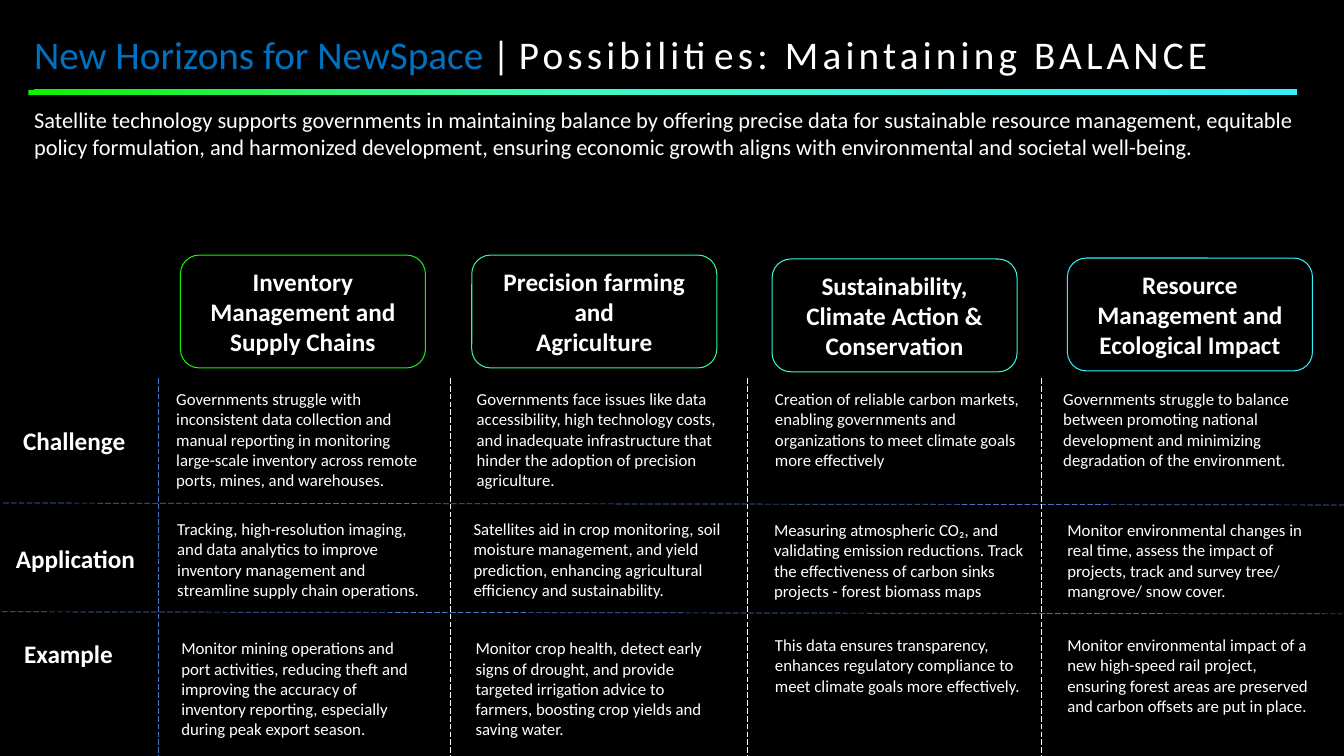
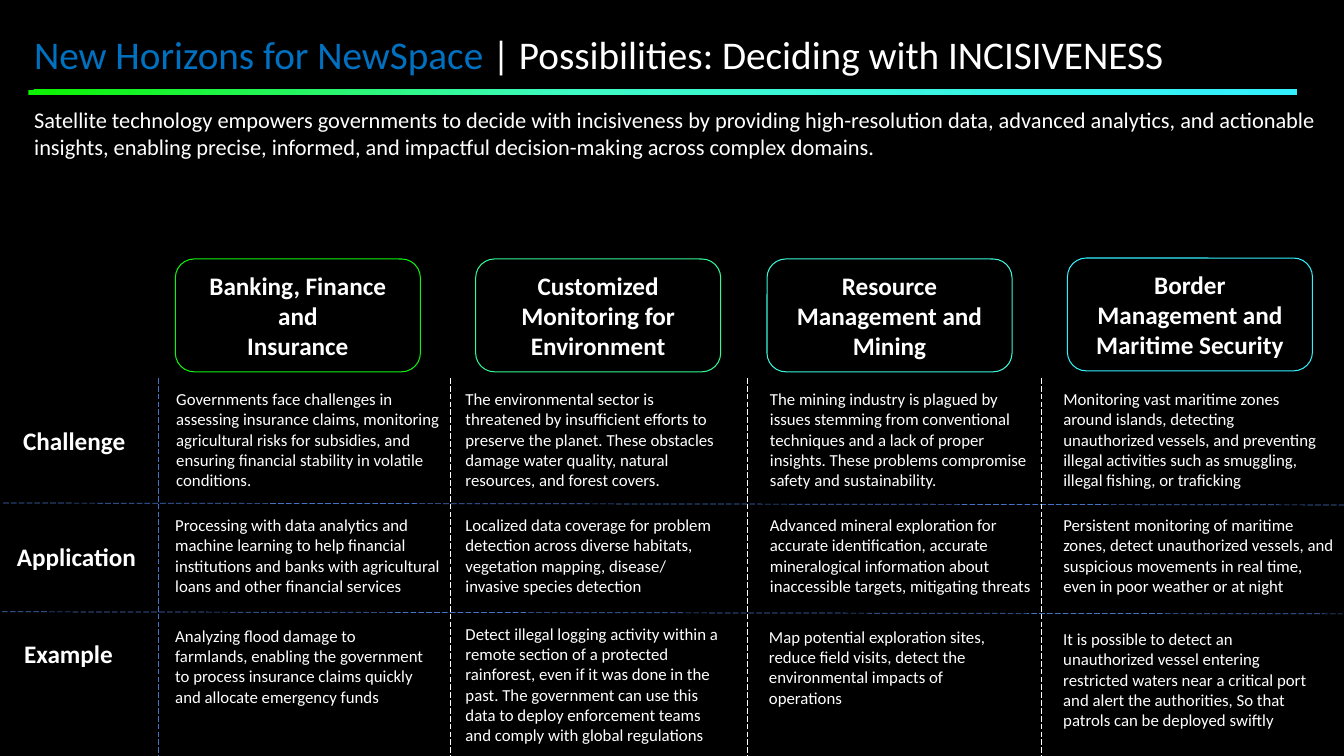
from dataclasses import dataclass

import pptx
import pptx.dml.color
import pptx.enum.dml
import pptx.enum.shapes
import pptx.enum.text
import pptx.oxml
import pptx.oxml.ns
import pptx.util

Pt = pptx.util.Pt

FONT = "Calibri"
BLACK, WHITE, BLUE, RULE_BLUE = "000000", "FFFFFF", "0070C0", "4472C4"
HEADING_COLORS = ["10F30E", "32F895", "3AF7D9", "34F0FC"]
BAR_STOPS = [(0, "33F0FF"), (57, "3EFAC5"), (100, "0DF200")]
TITLE_PREFIX = "New Horizons for NewSpace "
HEADING_WIDTH, HEADING_HEIGHT = 175, 80.6
CHALLENGE_TOP = 274.3


@dataclass
class Heading:
    text: str
    left: float
    top: float


@dataclass
class Block:
    text: str
    left: float
    top: float
    width: float
    lines: int = 4


@dataclass
class Rule:
    start: tuple[float, float]
    end: tuple[float, float]
    color: str


@dataclass
class Page:
    title: str
    title_spacing: float
    summary: str
    application_label: tuple[float, float]
    headings: list[Heading]
    blocks: list[Block]


RULES = [
    Rule((2.2, 359.3), (960, 360.7), RULE_BLUE),
    Rule((1.4, 437), (959, 438.5), RULE_BLUE),
    Rule((113, 270), (113, 540), RULE_BLUE),
] + [Rule((x, 270), (x, 540), WHITE) for x in (321.8, 533.5, 743.8)]

PAGES = [
    Page(
        "Possibilities: Maintaining BALANCE", 3,
        "Satellite technology supports governments in maintaining balance by offering precise data for "
        "sustainable resource management, equitable policy formulation, and harmonized development, "
        "ensuring economic growth aligns with environmental and societal well-being.",
        (4.3, 384.5),
        [
            Heading("Inventory Management and Supply Chains", 128.9, 182.2),
            Heading("Precision farming\nand\nAgriculture", 337, 182.2),
            Heading("Sustainability, Climate Action & Conservation", 551.5, 185),
            Heading("Resource Management and Ecological Impact", 762.5, 184.3),
        ],
        [
            Block("Governments struggle with inconsistent data collection and manual reporting in monitoring "
                  "large-scale inventory across remote ports, mines, and warehouses.",
                  118.8, CHALLENGE_TOP, 191.5, 5),
            Block("Governments face issues like data accessibility, high technology costs, and inadequate "
                  "infrastructure that hinder the adoption of precision agriculture.",
                  333.4, CHALLENGE_TOP, 187.9, 5),
            Block("Creation of reliable carbon markets, enabling governments and organizations to meet "
                  "climate goals more effectively", 546.5, CHALLENGE_TOP, 189.4),
            Block("Governments struggle to balance between promoting national development and minimizing "
                  "degradation of the environment.", 752.4, CHALLENGE_TOP, 189.4),
            Block("Tracking, high-resolution imaging, and data analytics to improve inventory management and "
                  "streamline supply chain operations.", 119.5, 367.2, 192.2),
            Block("Satellites aid in crop monitoring, soil moisture management, and yield prediction, "
                  "enhancing agricultural efficiency and sustainability.", 331.2, 367.2, 192.2),
            Block("Measuring atmospheric CO₂, and validating emission reductions. Track the effectiveness of "
                  "carbon sinks projects - forest biomass maps", 545.8, 367.9, 197.3),
            Block("Monitor environmental changes in real time, assess the impact of projects, track and "
                  "survey tree/ mangrove/ snow cover.", 755.3, 367.9, 186.5),
            Block("Monitor mining operations and port activities, reducing theft and improving the accuracy "
                  "of inventory reporting, especially during peak export season.", 122.4, 452.2, 188.6, 5),
            Block("Monitor crop health, detect early signs of drought, and provide targeted irrigation advice "
                  "to farmers, boosting crop yields and saving water.", 332.6, 452.2, 188.6, 5),
            Block("This data ensures transparency, enhances regulatory compliance to meet climate goals more "
                  "effectively.", 546.5, 450, 189.4),
            Block("Monitor environmental impact of a new high-speed rail project, ensuring forest areas are "
                  "preserved and carbon offsets are put in place.", 755.3, 450, 189.4),
        ],
    ),
    Page(
        "Possibilities: Deciding with INCISIVENESS", 0,
        "Satellite technology empowers governments to decide with incisiveness by providing "
        "high-resolution data, advanced analytics, and actionable insights, enabling precise, informed, "
        "and impactful decision-making across complex domains.",
        (5, 383),
        [
            Heading("Banking, Finance and\nInsurance", 125.3, 185),
            Heading("Customized Monitoring for Environment", 339.8, 185),
            Heading("Resource Management and Mining", 547.9, 185),
            Heading("Border Management and Maritime Security", 762.5, 184.3),
        ],
        [
            Block("Governments face challenges in assessing insurance claims, monitoring agricultural risks "
                  "for subsidies, and ensuring financial stability in volatile conditions.",
                  118.8, CHALLENGE_TOP, 203.8, 5),
            Block("The environmental sector is threatened by insufficient efforts to preserve the planet. "
                  "These obstacles damage water quality, natural resources, and forest covers.",
                  325.4, CHALLENGE_TOP, 205.9, 5),
            Block("The mining industry is plagued by issues stemming from conventional techniques and a lack "
                  "of proper insights. These problems compromise safety and sustainability.",
                  542.9, CHALLENGE_TOP, 200.9, 5),
            Block("Monitoring vast maritime zones around islands, detecting unauthorized vessels, and "
                  "preventing illegal activities such as smuggling, illegal fishing, or traficking",
                  752.4, CHALLENGE_TOP, 200.9, 5),
            Block("Processing with data analytics and machine learning to help financial institutions and "
                  "banks with agricultural loans and other financial services", 118.1, 364.3, 203.8),
            Block("Localized data coverage for problem detection across diverse habitats, vegetation mapping, "
                  "disease/ invasive species detection", 325.4, 364.3, 192.2),
            Block("Advanced mineral exploration for accurate identification, accurate mineralogical "
                  "information about inaccessible targets, mitigating threats", 542.9, 364.3, 206.6),
            Block("Persistent monitoring of maritime zones, detect unauthorized vessels, and suspicious "
                  "movements in real time, even in poor weather or at night", 752.4, 364.3, 208.1),
            Block("Analyzing flood damage to farmlands, enabling the government to process insurance claims "
                  "quickly and allocate emergency funds", 118.1, 443.5, 193),
            Block("Detect illegal logging activity within a remote section of a protected rainforest, even if "
                  "it was done in the past. The government can use this data to deploy enforcement teams and "
                  "comply with global regulations", 325.4, 442.1, 202.3, 6),
            Block("Map potential exploration sites, reduce field visits, detect the environmental impacts of "
                  "operations", 542.2, 444.2, 185),
            Block("It is possible to detect an unauthorized vessel entering restricted waters near a critical "
                  "port and alert the authorities, So that patrols can be deployed swiftly",
                  752.4, 445.7, 189.4, 5),
        ],
    ),
]


def rgb(color: str) -> pptx.dml.color.RGBColor:
    return pptx.dml.color.RGBColor.from_string(color)


def style_font(font, size: float, color: str = WHITE, bold: bool = False) -> None:
    font.name = FONT
    font.size = Pt(size)
    font.bold = bold
    font.color.rgb = rgb(color)


def add_text(slide, text: str, left: float, top: float, width: float, height: float,
             size: float, bold: bool = False) -> None:
    frame = slide.shapes.add_textbox(Pt(left), Pt(top), Pt(width), Pt(height)).text_frame
    frame.word_wrap = True
    frame.text = text
    style_font(frame.paragraphs[0].font, size, bold=bold)


def add_title(slide, page: Page) -> None:
    frame = slide.shapes.add_textbox(Pt(17.3), Pt(-0.7), Pt(924.5), Pt(59.8)).text_frame
    frame.word_wrap = True
    frame.vertical_anchor = pptx.enum.text.MSO_ANCHOR.BOTTOM
    paragraph = frame.paragraphs[0]
    paragraph.line_spacing = 1.2
    paragraph.space_after = Pt(6)
    for text, color, spacing in ((TITLE_PREFIX, BLUE, 0), ("| ", WHITE, 0),
                                 (page.title, WHITE, page.title_spacing)):
        run = paragraph.add_run()
        run.text = text
        style_font(run.font, 28, color)
        if spacing:
            run.font._element.set("spc", str(int(spacing * 100)))


def add_gradient_bar(slide) -> None:
    bar = slide.shapes.add_shape(pptx.enum.shapes.MSO_SHAPE.RECTANGLE,
                                 Pt(20.2), Pt(64.1), Pt(905.8), Pt(3.8))
    bar.shadow.inherit = False
    bar.line.fill.background()
    bar.fill.gradient()
    stops = "".join(f'<a:gs pos="{position * 1000}"><a:srgbClr val="{color}"/></a:gs>'
                    for position, color in BAR_STOPS)
    gradient = pptx.oxml.parse_xml(
        f'<a:gradFill {pptx.oxml.ns.nsdecls("a")} rotWithShape="1"><a:gsLst>{stops}</a:gsLst>'
        '<a:path path="circle"><a:fillToRect l="100000" t="100000"/></a:path></a:gradFill>')
    properties = bar._element.spPr
    properties.replace(properties.find(pptx.oxml.ns.qn("a:gradFill")), gradient)


def add_rule(slide, rule: Rule) -> None:
    connector = slide.shapes.add_connector(pptx.enum.shapes.MSO_CONNECTOR.STRAIGHT,
                                           *map(Pt, rule.start + rule.end))
    connector.line.color.rgb = rgb(rule.color)
    connector.line.width = Pt(0.5)
    connector.line.dash_style = pptx.enum.dml.MSO_LINE.LONG_DASH
    connector._element.spPr.append(
        pptx.oxml.parse_xml(f'<a:effectLst {pptx.oxml.ns.nsdecls("a")}/>'))


def add_heading(slide, heading: Heading, color: str) -> None:
    shape = slide.shapes.add_shape(pptx.enum.shapes.MSO_SHAPE.ROUNDED_RECTANGLE,
                                   Pt(heading.left), Pt(heading.top),
                                   Pt(HEADING_WIDTH), Pt(HEADING_HEIGHT))
    shape.shadow.inherit = False
    shape.fill.background()
    shape.line.color.rgb = rgb(color)
    shape.line.width = Pt(0.75)
    frame = shape.text_frame
    frame.word_wrap = True
    frame.text = heading.text
    for paragraph in frame.paragraphs:
        paragraph.alignment = pptx.enum.text.PP_ALIGN.CENTER
        style_font(paragraph.font, 18, bold=True)


def add_page(presentation, page: Page) -> None:
    slide = presentation.slides.add_slide(presentation.slide_layouts[6])
    add_title(slide, page)
    add_gradient_bar(slide)
    add_text(slide, page.summary, 17.3, 72, 942.5, 46, 16)
    for rule in RULES:
        add_rule(slide, rule)
    for heading, color in zip(page.headings, HEADING_COLORS):
        add_heading(slide, heading, color)
    for label, (left, top) in (("Challenge", (9.4, 300.2)), ("Application", page.application_label),
                               ("Example", (10.1, 452.2))):
        add_text(slide, label, left, top, 108.7, 28.8, 18, bold=True)
    for block in page.blocks:
        add_text(slide, block.text, block.left, block.top, block.width, 7.2 + 14.6 * block.lines, 12)


def main() -> None:
    presentation = pptx.Presentation()
    presentation.slide_width, presentation.slide_height = Pt(960), Pt(540)
    background = presentation.slide_master.background.fill
    background.solid()
    background.fore_color.rgb = rgb(BLACK)
    for page in PAGES:
        add_page(presentation, page)
    presentation.save("out.pptx")


if __name__ == "__main__":
    main()
